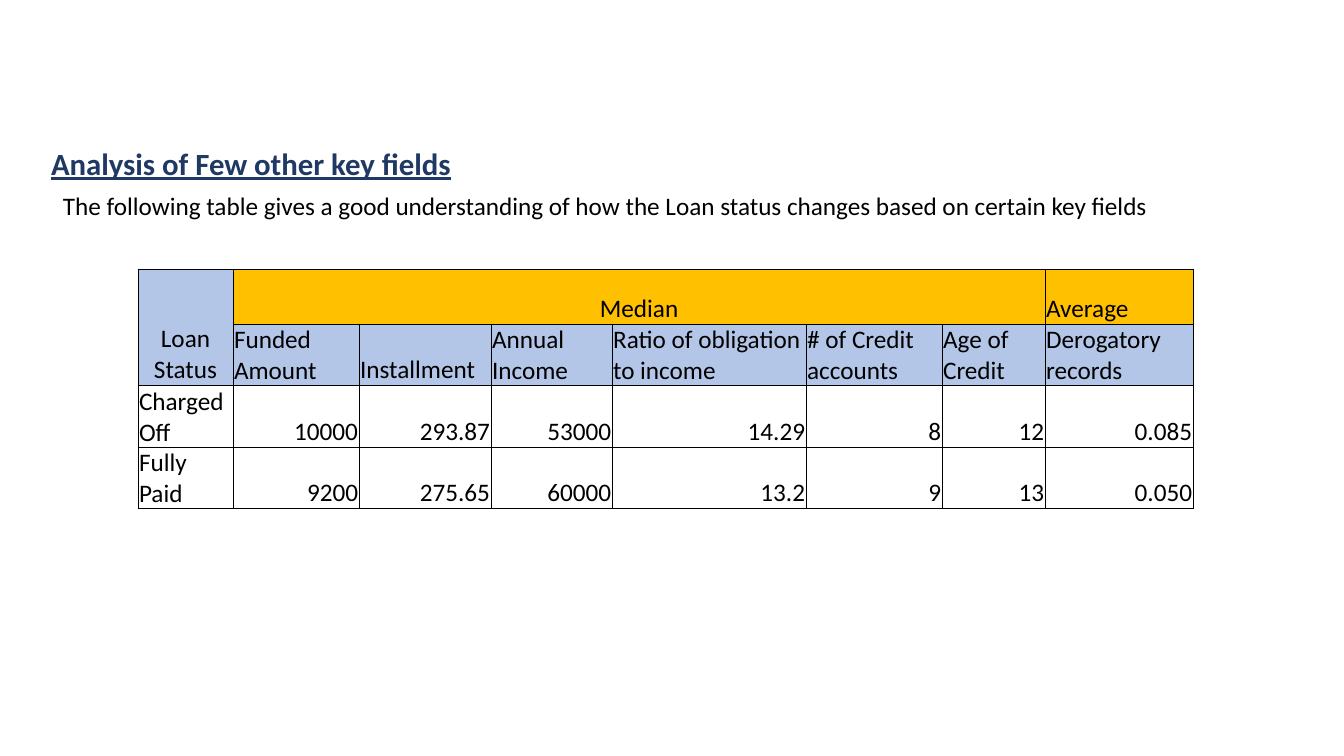
from lxml import etree
from pptx import Presentation, util as u
from pptx.dml.color import RGBColor
from pptx.enum import text
from pptx.oxml.ns import qn

# Content
HEADING = "Analysis of Few other key fields"
INTRO = ("The following table gives a good understanding of how the Loan status "
         "changes based on certain key fields")
GROUPS = ["Loan Status", "Median", "", "", "", "", "", "Average"]
FIELDS = ["", "Funded Amount", "Installment", "Annual Income",
          "Ratio of obligation to income", "# of Credit accounts",
          "Age of Credit", "Derogatory records"]
STATUSES = [
    ["Charged Off", "10000", "293.87", "53000", "14.29", "8", "12", "0.085"],
    ["Fully Paid", "9200", "275.65", "60000", "13.2", "9", "13", "0.050"],
]

# Layout in pixels
PX = u.Inches(1) / 100.8
HEADING_BOX = (34, 118, 1291, 95)
HEADING_INSET = 17
INTRO_BOX = (53, 185, 1224, 65)
TABLE_LEFT, TABLE_TOP = 138, 269
COLUMN_WIDTHS = [95, 126, 132, 121, 194, 136, 103, 148]
ROW_HEIGHT = 55

NAVY = RGBColor(0x20, 0x38, 0x64)
BLACK = RGBColor(0, 0, 0)
BLUE = RGBColor(0xB4, 0xC6, 0xE7)
GOLD = RGBColor(0xFF, 0xC0, 0x00)
ALIGN = text.PP_ALIGN


def px(value):
    return u.Emu(round(value * PX))


def write(frame, words, size=18, color=BLACK, bold=False, underline=False,
          align=ALIGN.LEFT, spacing=None):
    frame.word_wrap = True
    paragraph = frame.paragraphs[0]
    paragraph.alignment = align
    paragraph.line_spacing = spacing
    run = paragraph.add_run()
    run.text = words
    font = run.font
    font.name, font.size, font.bold, font.underline = "Calibri", u.Pt(size), bold, underline
    font.color.rgb = color


def add_borders(cell):
    properties = cell._tc.get_or_add_tcPr()
    for side in ("a:lnL", "a:lnR", "a:lnT", "a:lnB"):
        line = etree.SubElement(properties, qn(side), w=str(u.Pt(0.5)))
        fill = etree.SubElement(line, qn("a:solidFill"))
        etree.SubElement(fill, qn("a:srgbClr"), val=str(BLACK))


def cell_fill(row, column):
    if row > 1:
        return None
    return GOLD if row == 0 and column > 0 else BLUE


def cell_align(row, column):
    if row == 0 and column < 7:
        return ALIGN.CENTER
    return ALIGN.RIGHT if row > 1 and column > 0 else ALIGN.LEFT


deck = Presentation()
deck.slide_width, deck.slide_height = u.Inches(13.33), u.Inches(7.5)
slide = deck.slides.add_slide(deck.slide_layouts[5])

# Heading
heading = slide.shapes.title
heading.left, heading.top, heading.width, heading.height = map(px, HEADING_BOX)
heading.text_frame.vertical_anchor = text.MSO_ANCHOR.MIDDLE
heading.text_frame.margin_left = px(HEADING_INSET)
write(heading.text_frame, HEADING, size=22, color=NAVY, bold=True,
      underline=True, spacing=0.9)

# Introduction
intro = slide.shapes.add_textbox(*map(px, INTRO_BOX))
write(intro.text_frame, INTRO)

# Loan status table
rows = [GROUPS, FIELDS, *STATUSES]
loans = slide.shapes.add_table(
    len(rows), len(COLUMN_WIDTHS), px(TABLE_LEFT), px(TABLE_TOP),
    px(sum(COLUMN_WIDTHS)), px(ROW_HEIGHT * len(rows))).table
loans.first_row = loans.horz_banding = False
for column, width in zip(loans.columns, COLUMN_WIDTHS):
    column.width = px(width)
for r, values in enumerate(rows):
    loans.rows[r].height = px(ROW_HEIGHT)
    for c, value in enumerate(values):
        cell = loans.cell(r, c)
        cell.margin_left = cell.margin_right = cell.margin_top = px(1)
        cell.margin_bottom = 0
        cell.vertical_anchor = text.MSO_ANCHOR.BOTTOM
        add_borders(cell)
        color = cell_fill(r, c)
        if color is None:
            cell.fill.background()
        else:
            cell.fill.solid()
            cell.fill.fore_color.rgb = color
        if value:
            write(cell.text_frame, value, align=cell_align(r, c))
loans.cell(0, 0).merge(loans.cell(1, 0))
loans.cell(0, 1).merge(loans.cell(0, 6))

deck.save("out.pptx")
